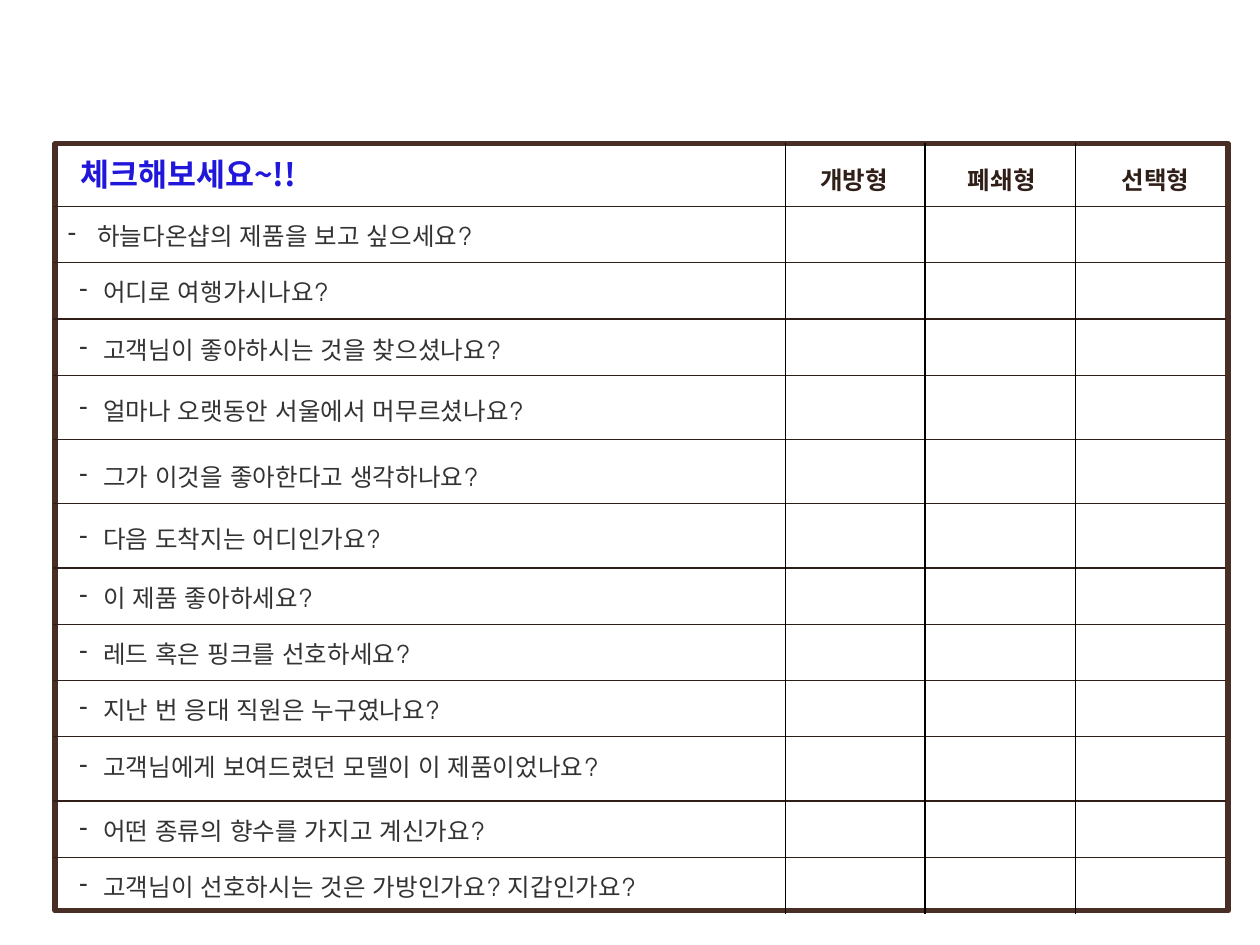
from itertools import accumulate
from lxml.etree import SubElement
from pptx import Presentation
from pptx.dml.color import RGBColor
from pptx.enum.shapes import MSO_CONNECTOR as CONN, MSO_SHAPE as SHAPE
from pptx.enum.text import MSO_AUTO_SIZE as AUTO, PP_ALIGN as ALIGN
from pptx.oxml.ns import qn
from pptx.util import Pt

HEAD_FONT, BODY_FONT = "Noto Sans CJK KR", "TeX Gyre Adventor"
LOW, HIGH = 32.15, 36.7
ROW_HEIGHTS = [LOW] * 3 + [HIGH] * 3 + [LOW] * 3 + [HIGH, LOW]
ROW_TOPS = list(accumulate(ROW_HEIGHTS, initial=118))
COLUMN_LINES = [448.8, 528.5, 614.7]
# label, left, width
HEADERS = [("개방형", 445.7, 85), ("폐쇄형", 529.9, 85), ("선택형", 611.3, 98)]
# question, offset below the row line, line spacing
QUESTIONS = [
    ("하늘다온샵의 제품을 보고 싶으세요?", 0, 1.3),
    ("어디로 여행가시나요?", 6.2, 0.9),
    ("고객님이 좋아하시는 것을 찾으셨나요?", 0.6, 1.3),
    ("얼마나 오랫동안 서울에서 머무르셨나요?", 3, 1.3),
    ("그가 이것을 좋아한다고 생각하나요?", 4.4, 1.3),
    ("다음 도착지는 어디인가요?", 3, 1.3),
    ("이 제품 좋아하세요?", 0, 1.3),
    ("레드 혹은 핑크를 선호하세요?", 0, 1.3),
    ("지난 번 응대 직원은 누구였나요?", 0, 1.3),
    ("고객님에게 보여드렸던 모델이 이 제품이었나요?", 7.2, 0.9),
    ("어떤 종류의 향수를 가지고 계신가요?", 0, 1.3),
    ("고객님이 선호하시는 것은 가방인가요? 지갑인가요?", 0, 1.3),
]


def color(hex_string):
    """Turn a hex string into a colour."""
    return RGBColor.from_string(hex_string)


def add_frame(s, left, top, width, height):
    """Add the white sheet with its thick brown border."""
    sp = s.shapes.add_shape(SHAPE.RECTANGLE, Pt(left), Pt(top), Pt(width), Pt(height))
    sp.shadow.inherit = False
    sp.fill.solid()
    sp.fill.fore_color.rgb = color("FFFFFF")
    sp.line.color.rgb = color("482E24")
    sp.line.width = Pt(3)


def add_rule(s, x1, y1, x2, y2, hex_string):
    """Add a thin straight line without shadow."""
    line = s.shapes.add_connector(CONN.STRAIGHT, Pt(x1), Pt(y1), Pt(x2), Pt(y2))
    line.line.color.rgb = color(hex_string)
    line.line.width = Pt(0.75)
    SubElement(line._element.spPr, qn("a:effectLst"))


def add_text(s, text, left, top, width, height, hex_string,
             size=14, bold=False, name=BODY_FONT, align=ALIGN.LEFT, wrap=True):
    """Add a one-paragraph text box and return its paragraph."""
    tf = s.shapes.add_textbox(Pt(left), Pt(top), Pt(width), Pt(height)).text_frame
    tf.word_wrap = wrap
    tf.auto_size = AUTO.SHAPE_TO_FIT_TEXT
    p = tf.paragraphs[0]
    p.text = text
    p.alignment = align
    p.font.size = Pt(size)
    p.font.bold = bold
    p.font.name = name
    p.font.color.rgb = color(hex_string)
    SubElement(p.font._element, qn("a:ea"), typeface=name)
    return p


def set_dash(p, indent):
    """Give a paragraph a dash bullet with a hanging indent."""
    pPr = p._p.get_or_add_pPr()
    pPr.set("marL", str(Pt(indent)))
    pPr.set("indent", str(-Pt(indent)))
    bullet = pPr.makeelement(qn("a:buChar"), {"char": "-"})
    pPr.find(qn("a:defRPr")).addprevious(bullet)


def add_questions(s):
    """Add one bulleted question to each row; the first hangs further left."""
    for i, (text, offset, spacing) in enumerate(QUESTIONS):
        left, indent = (38.2, 13.7) if i else (31.7, 16.8)
        height = 27.4 if spacing > 1 else 20.6
        p = add_text(s, text, left, ROW_TOPS[i] + offset, 420, height, "333333")
        p.line_spacing = spacing
        set_dash(p, indent)


def main():
    """Build the checklist slide."""
    prs = Presentation()
    prs.slide_width, prs.slide_height = Pt(720), Pt(540)
    s = prs.slides.add_slide(prs.slide_layouts[6])
    add_frame(s, 31.5, 82, 670.3, 438.5)
    for y in ROW_TOPS:
        add_rule(s, 30.2, y, 700.5, y, "301F18")
    for x in COLUMN_LINES:
        add_rule(s, x, 82, x, 522, "000000")
    for label, left, width in HEADERS:
        add_text(s, label, left, 90.7, width, 24.5, "301F18", bold=True, align=ALIGN.CENTER)
    add_questions(s)
    add_text(s, "체크해보세요~!!", 38.9, 85, 148.3, 28.8, "2017DB",
             size=18, bold=True, name=HEAD_FONT, wrap=False)
    prs.save("out.pptx")


main()
